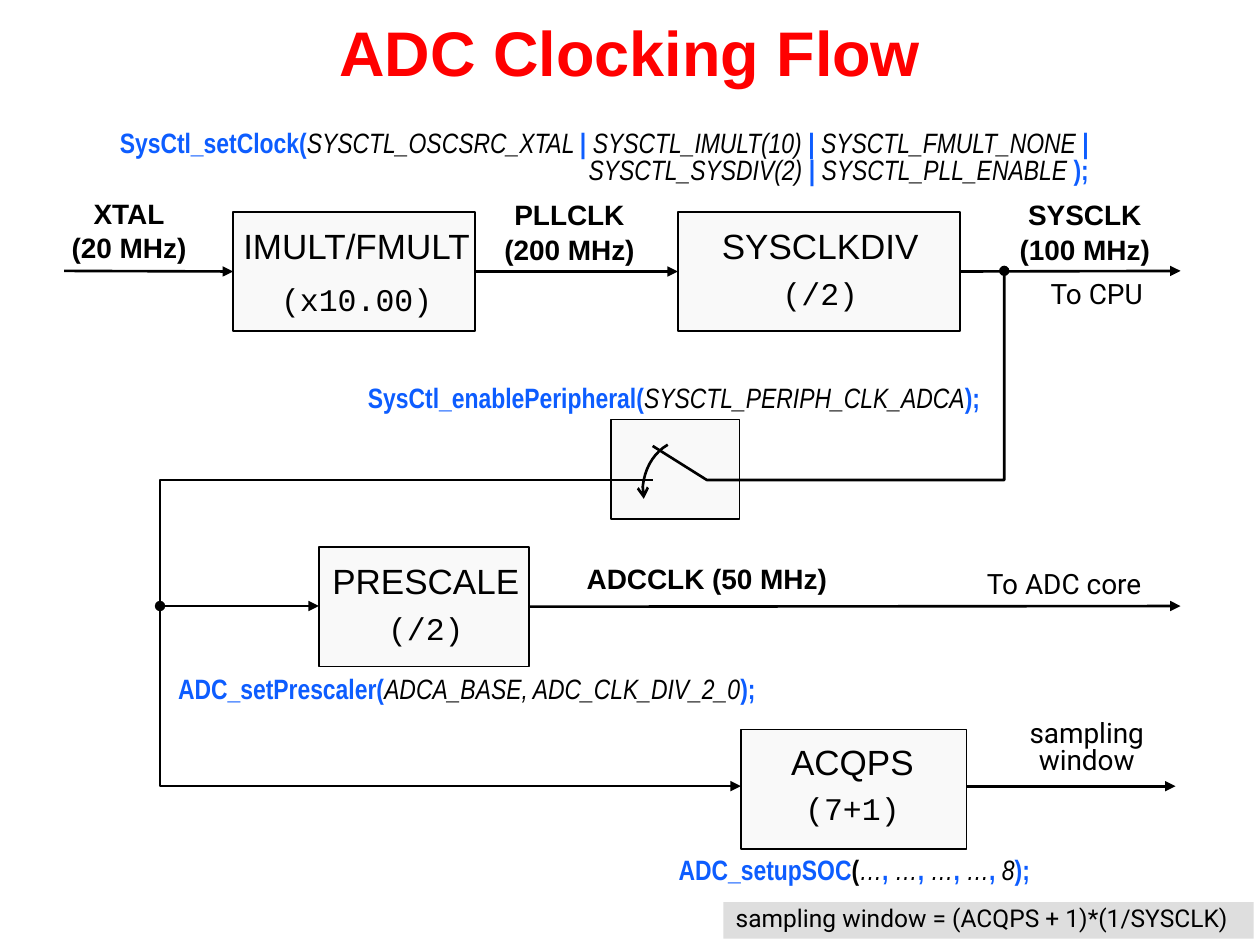
from pptx import Presentation
from pptx.dml.color import RGBColor
from pptx.enum.shapes import MSO_CONNECTOR, MSO_SHAPE
from pptx.enum.text import MSO_ANCHOR, MSO_AUTO_SIZE, PP_ALIGN
from pptx.oxml.ns import qn
from pptx.util import Inches, Pt
from lxml import etree

LINE, RECT = MSO_CONNECTOR.STRAIGHT, MSO_SHAPE.RECTANGLE
MID, GROW = MSO_ANCHOR.MIDDLE, MSO_AUTO_SIZE.SHAPE_TO_FIT_TEXT
LEFT, CENTER, RIGHT = PP_ALIGN.LEFT, PP_ALIGN.CENTER, PP_ALIGN.RIGHT
COLORS = {"ink": "000000", "title": "FF0000", "call": "0D5DFF",
          "box": "F9F9F9", "note": "DEDEDE"}

STYLES = {
    "title": ("Arial", 36, "title", True, False),
    "clock": ("Arial", 16, "ink", True, False),
    "name": ("Arial", 20, "ink", False, False),
    "value": ("Courier New", 18, "ink", False, False),
    "plain": ("Roboto", 16, "ink", False, False),
    "note": ("Roboto", 14, "ink", False, False),
    "call": ("Arial Narrow", 16, "call", True, False),
    "paren": ("Arial Narrow", 16, "ink", True, False),
    "arg": ("Arial Narrow", 16, "ink", False, True),
}

BOXES = {
    "mult": (1.85, 1.68, 1.92, 0.95),
    "div": (5.38, 1.68, 2.24, 0.95),
    "switch": (4.85, 3.33, 1.02, 0.79),
    "scale": (2.53, 4.34, 1.67, 0.95),
    "acqps": (5.88, 5.79, 1.79, 0.95),
}
BLOCKS = [
    ((1.92, 1.8, 1.82, 0.81), "IMULT/FMULT", "(x10.00)", 0.8, 12),
    ((5.45, 1.8, 2.12, 0.73), "SYSCLKDIV", "(/2)", 0.7, 10),
    ((2.53, 4.46, 1.7, 0.73), "PRESCALE", "(/2)", 0.7, 10),
    ((6.17, 5.89, 1.19, 0.73), "ACQPS", "(7+1)", 0.7, 10),
]
CLOCKS = [
    ((0.46, 1.56, 1.13, 0.59), "XTAL", "(20 MHz)"),
    ((3.89, 1.57, 1.26, 0.59), "PLLCLK", "(200 MHz)"),
    ((7.96, 1.57, 1.3, 0.59), "SYSCLK", "(100 MHz)"),
]
LABELS = [
    ((4.37, 4.48, 2.48, 0.29), "ADCCLK (50 MHz)", "clock", 0.7, CENTER),
    ((7.69, 4.5, 1.51, 0.32), "To ADC core", "plain", 0.8, CENTER),
    ((7.97, 5.68, 1.31, 0.53), "sampling window", "plain", 0.8, CENTER),
    ((8.24, 2.2, 1.01, 0.31), "To CPU", "plain", 0.8, LEFT),
]
NOTE = ((5.74, 7.16, 4.21, 0.29), "sampling window = (ACQPS + 1)*(1/SYSCLK)")
CALLS = [
    ((0.43, 1, 8.31, 0.53), RIGHT, [
        ("SysCtl_setClock(", "call"), ("SYSCTL_OSCSRC_XTAL ", "arg"),
        ("| ", "call"), ("SYSCTL_IMULT(10) ", "arg"),
        ("| ", "call"), ("SYSCTL_FMULT_NONE ", "arg"),
        ("| ", "call"), ("SYSCTL_SYSDIV(2) ", "arg"),
        ("| ", "call"), ("SYSCTL_PLL_ENABLE ", "arg"), (");", "call")]),
    ((2.77, 3.02, 5.16, 0.32), CENTER, [
        ("SysCtl_enablePeripheral(", "call"),
        ("SYSCTL_PERIPH_CLK_ADCA", "arg"), (");", "call")]),
    ((1.25, 5.33, 4.91, 0.32), CENTER, [
        ("ADC_setPrescaler(", "call"),
        ("ADCA_BASE, ADC_CLK_DIV_2_0", "arg"), (");", "call")]),
    ((5.22, 6.77, 3.12, 0.32), CENTER, [
        ("ADC_setupSOC", "call"), ("(", "paren"),
        *[("…", "arg"), (", ", "call")] * 4, ("8", "arg"), (");", "call")]),
]

ARROWS = [
    ((0.51, 2.15), (1.84, 2.15), None, "mult"),
    ((3.78, 2.15), (5.38, 2.15), "mult", "div"),
    ((7.63, 2.15), (9.37, 2.15), "div", None),
    ((4.2, 4.81), (9.37, 4.81), "scale", None),
    ((7.67, 6.24), (9.33, 6.24), None, None),
]
ROUTES = [
    ([(1.27, 4.81), (1.27, 6.24), (5.88, 6.24)], "oval", "triangle"),
    ([(5.18, 3.81), (1.27, 3.81), (1.27, 4.81), (2.53, 4.81)], None, "triangle"),
    ([(7.97, 2.15), (7.97, 3.81), (5.61, 3.81), (5.18, 3.54)], "oval", None),
]
SWING = [(5.3, 3.53), (5.18, 3.6), (5.1, 3.74), (5.1, 3.91)]
TIP = (5.11, 3.96)
STEPS = 10


def color(key):
    return RGBColor.from_string(COLORS[key])


def inches(vals):
    return [Inches(v) for v in vals]


def write(para, runs, align=CENTER, space=None, before=0):
    para.alignment = align
    para.line_spacing = space
    para.space_before = Pt(before)
    for text, style in runs:
        run = para.add_run()
        run.text = text
        font = run.font
        font.name, size, key, font.bold, font.italic = STYLES[style]
        font.size = Pt(size)
        font.color.rgb = color(key)


def add_text(slide, area, paras, align=CENTER, wrap=True, pad=0.1):
    box = slide.shapes.add_textbox(*inches(area))
    frame = box.text_frame
    frame.word_wrap = wrap
    frame.auto_size = GROW
    frame.margin_left = frame.margin_right = Inches(pad)
    for i, (runs, space, before) in enumerate(paras):
        para = frame.add_paragraph() if i else frame.paragraphs[0]
        write(para, runs, align, space, before)
    return box


def style_line(shape, head=None, tail=None):
    shape.line.color.rgb = color("ink")
    shape.line.width = Pt(1.5)
    ln = shape.line._get_or_add_ln()
    for tag, kind in (("a:headEnd", head), ("a:tailEnd", tail)):
        if kind:
            etree.SubElement(ln, qn(tag)).set("type", kind)


def add_route(slide, points, head, tail):
    pts = [inches(p) for p in points]
    build = slide.shapes.build_freeform(*pts[0])
    build.add_line_segments(pts[1:], close=False)
    shape = build.convert_to_shape()
    shape.shadow.inherit = False
    shape.fill.background()
    style_line(shape, head, tail)


def curve(ctrl):
    for i in range(STEPS + 1):
        t = i / STEPS
        u = 1 - t
        parts = (u ** 3, 3 * u * u * t, 3 * u * t * t, t ** 3)
        yield tuple(sum(w * p[k] for w, p in zip(parts, ctrl)) for k in (0, 1))


def main():
    prs = Presentation()
    prs.slide_width, prs.slide_height = Inches(10), Inches(7.5)
    slide = prs.slides.add_slide(prs.slide_layouts[5])
    title = slide.shapes.title
    title.left, title.top, title.width, title.height = inches((0, 0, 10, 0.81))
    title.text_frame.vertical_anchor = MID
    write(title.text_frame.paragraphs[0], [("ADC Clocking Flow", "title")])

    boxes = {}
    for key, area in BOXES.items():
        box = boxes[key] = slide.shapes.add_shape(RECT, *inches(area))
        box.shadow.inherit = False
        box.fill.solid()
        box.fill.fore_color.rgb = color("box")
        box.line.color.rgb = color("ink")
        box.line.width = Pt(1)

    for start, end, src, dest in ARROWS:
        arrow = slide.shapes.add_connector(LINE, *inches(start + end))
        if src:
            arrow.begin_connect(boxes[src], 3)
        if dest:
            arrow.end_connect(boxes[dest], 1)
        style_line(arrow, tail="triangle")
        etree.SubElement(arrow._element.spPr, qn("a:effectLst"))
    for route in ROUTES:
        add_route(slide, *route)
    add_route(slide, [*curve(SWING), TIP], None, "arrow")

    for area, name, value, space, before in BLOCKS:
        add_text(slide, area, [([(name, "name")], 0.8, 0),
                               ([(value, "value")], space, before)], pad=0)
    for area, name, rate in CLOCKS:
        add_text(slide, area, [([(name, "clock")], 0.8, 0),
                               ([(rate, "clock")], 0.5, 9)])
    for area, text, style, space, align in LABELS:
        add_text(slide, area, [([(text, style)], space, 0)], align)
    for area, align, runs in CALLS:
        add_text(slide, area, [(runs, 0.8, 0)], align, wrap=align == RIGHT)
    area, text = NOTE
    note = add_text(slide, area, [([(text, "note")], 0.8, 0)], LEFT)
    note.fill.solid()
    note.fill.fore_color.rgb = color("note")
    prs.save("out.pptx")


if __name__ == "__main__":
    main()
